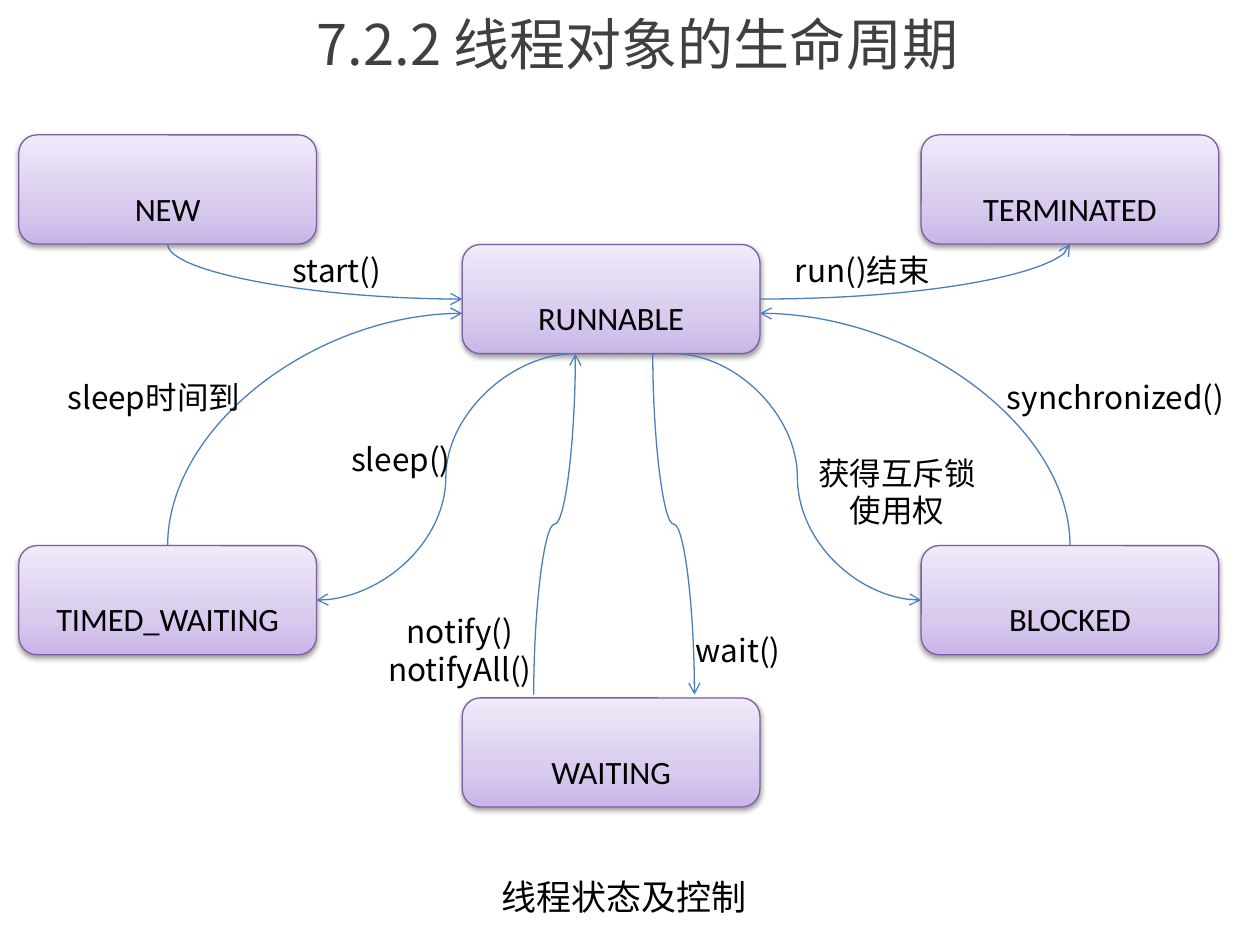
from pptx import Presentation
from pptx import util as u
from pptx.dml.color import RGBColor
from pptx.enum import shapes, text
from pptx.oxml import parse_xml
from pptx.oxml.ns import nsdecls, qn
from copy import deepcopy

BLACK = RGBColor(0x00, 0x00, 0x00)
GREY = RGBColor(0x40, 0x40, 0x40)
EDGE = RGBColor(0x7D, 0x60, 0xA0)
BLUE = RGBColor(0x4B, 0x7E, 0xBC)
SHADES = [
    (0, RGBColor(0xC9, 0xB5, 0xE8)),
    (0.35, RGBColor(0xD8, 0xCB, 0xEE)),
    (1, RGBColor(0xF0, 0xEA, 0xF9)),
]
LATIN, HAN = "Calibri", "Noto Sans CJK SC"

# State boxes: left and top in cm, all of one size
WIDE, HIGH = 6, 2.2
LEFT, MID, RIGHT = 0.38, 9.32, 18.57
STATES = {
    "RUNNABLE": (MID, 4.93),
    "TIMED_WAITING": (LEFT, 11),
    "WAITING": (MID, 14.07),
    "TERMINATED": (RIGHT, 2.72),
    "NEW": (LEFT, 2.72),
    "BLOCKED": (RIGHT, 11),
}

# Arrows: state and place on it (fractions of width and height) at each
# end, whether the curve leaves upright, and its number of bends + 1
ARROWS = [
    ("NEW", 0.5, 1, "RUNNABLE", 0, 0.5, True, 2),
    ("RUNNABLE", 1, 0.5, "TERMINATED", 0.5, 1, False, 2),
    ("TIMED_WAITING", 0.5, 0, "RUNNABLE", 0, 0.63, True, 2),
    ("RUNNABLE", 0.38, 1, "TIMED_WAITING", 1, 0.5, False, 3),
    ("BLOCKED", 0.5, 0, "RUNNABLE", 1, 0.63, True, 2),
    ("RUNNABLE", 0.71, 1, "BLOCKED", 0, 0.5, False, 3),
    ("RUNNABLE", 0.64, 1, "WAITING", 0.78, -0.03, True, 3),
    ("WAITING", 0.24, -0.03, "RUNNABLE", 0.38, 1, True, 3),
]

# Labels: text, left, top, width, height in cm
LABELS = [
    ("start()", 4.98, 4.93, 3.63, 1.02),
    ("run()结束", 15.57, 4.93, 3.63, 1.02),
    ("sleep时间到", 0.79, 7.49, 4.62, 1.02),
    ("sleep()", 5.77, 8.74, 4.62, 1.02),
    ("notify()\nnotifyAll()", 6.96, 12.22, 4.62, 1.8),
    ("wait()", 12.57, 12.6, 4.62, 1.02),
    ("synchronized()", 19.99, 7.49, 5, 1.02),
    ("获得互斥锁使用权", 16, 9.02, 4.17, 1.8),
]


def shade(blur, dist, turn, alpha):
    """Outer shadow, with lengths in points and the turn in degrees."""
    return parse_xml(
        f'<a:effectLst {nsdecls("a")}><a:outerShdw blurRad="{u.Pt(blur)}" '
        f'dist="{u.Pt(dist)}" dir="{turn * 60000}" rotWithShape="0">'
        f'<a:srgbClr val="000000"><a:alpha val="{alpha * 1000}"/></a:srgbClr>'
        '</a:outerShdw></a:effectLst>')


def write(frame, words, size, font=HAN, ink=BLACK):
    """Fill a frame with centred text and return its runs."""
    frame.word_wrap = True
    frame.text = words
    runs = []
    for para in frame.paragraphs:
        para.alignment = text.PP_ALIGN.CENTER
        for run in para.runs:
            run.font.size = u.Pt(size)
            run.font.color.rgb = ink
            run.font.name = font
            east = parse_xml(f'<a:ea {nsdecls("a")} typeface="{font}"/>')
            run.font._element.find(qn("a:latin")).addnext(east)
            runs.append(run)
    return runs


def label(slide, words, x, y, w, h, size=18):
    box = slide.shapes.add_textbox(u.Cm(x), u.Cm(y), u.Cm(w), u.Cm(h))
    write(box.text_frame, words, size)
    return box


def title(slide, words):
    box = slide.shapes.add_textbox(u.Cm(1.83), 0, u.Cm(22.05), u.Cm(1.73))
    box.text_frame.vertical_anchor = text.MSO_ANCHOR.MIDDLE
    for run in write(box.text_frame, words, 32, ink=GREY):
        fill = run.font._element.find(qn("a:solidFill"))
        fill.addnext(shade(3, 3, 45, 43))


def state(slide, name, x, y):
    box = slide.shapes.add_shape(
        shapes.MSO_SHAPE.ROUNDED_RECTANGLE,
        u.Cm(x), u.Cm(y), u.Cm(WIDE), u.Cm(HIGH))
    box.line.color.rgb = EDGE
    box.line.width = u.Pt(0.75)

    # Three shades, darkest at the bottom
    box.fill.gradient()
    box.fill.gradient_angle = 90
    first = box._element.spPr.find(".//" + qn("a:gs"))
    first.addnext(deepcopy(first))
    for stop, (place, tone) in zip(box.fill.gradient_stops, SHADES):
        stop.position = place
        stop.color.rgb = tone
    box._element.spPr.append(shade(3.15, 1.57, 90, 38))

    box.text_frame.vertical_anchor = text.MSO_ANCHOR.MIDDLE
    for run in write(box.text_frame, name, 32, LATIN):
        run.font._element.set("baseline", "-25000")


def spot(name, across, down):
    x, y = STATES[name]
    return x + across * WIDE, y + down * HIGH


def arrow(slide, start, end, upright, kind):
    (x1, y1), (x2, y2) = start, end
    if upright:
        # Lay the ends out as they stand before a turn of 270 degrees
        cx, cy = (x1 + x2) / 2, (y1 + y2) / 2
        dx, dy = (x2 - x1) / 2, (y2 - y1) / 2
        x1, y1, x2, y2 = cx + dy, cy - dx, cx - dy, cy + dx
    line = slide.shapes.add_connector(
        shapes.MSO_CONNECTOR.CURVE, u.Cm(x1), u.Cm(y1), u.Cm(x2), u.Cm(y2))
    line.line.color.rgb = BLUE
    line.line.width = u.Pt(0.75)
    props = line._element.spPr
    if upright:
        props.find(qn("a:xfrm")).set("rot", str(270 * 60000))
    props.find(qn("a:prstGeom")).set("prst", f"curvedConnector{kind}")
    props.find(qn("a:ln")).append(
        parse_xml(f'<a:tailEnd {nsdecls("a")} type="arrow"/>'))
    props.append(parse_xml(f'<a:effectLst {nsdecls("a")}/>'))


def main():
    deck = Presentation()
    deck.slide_width, deck.slide_height = u.Cm(25.4), u.Cm(19.05)
    slide = deck.slides.add_slide(deck.slide_layouts[6])

    title(slide, "7.2.2 线程对象的生命周期")

    # State diagram
    for name, (x, y) in STATES.items():
        state(slide, name, x, y)
    for head, hx, hy, tail, tx, ty, upright, kind in ARROWS:
        arrow(slide, spot(head, hx, hy), spot(tail, tx, ty), upright, kind)
    for item in LABELS:
        box = label(slide, *item)
        box.text_frame.auto_size = text.MSO_AUTO_SIZE.SHAPE_TO_FIT_TEXT

    # Caption
    label(slide, "线程状态及控制", 8.56, 17.53, 8.05, 1.02, 20)

    deck.save("out.pptx")


if __name__ == "__main__":
    main()
